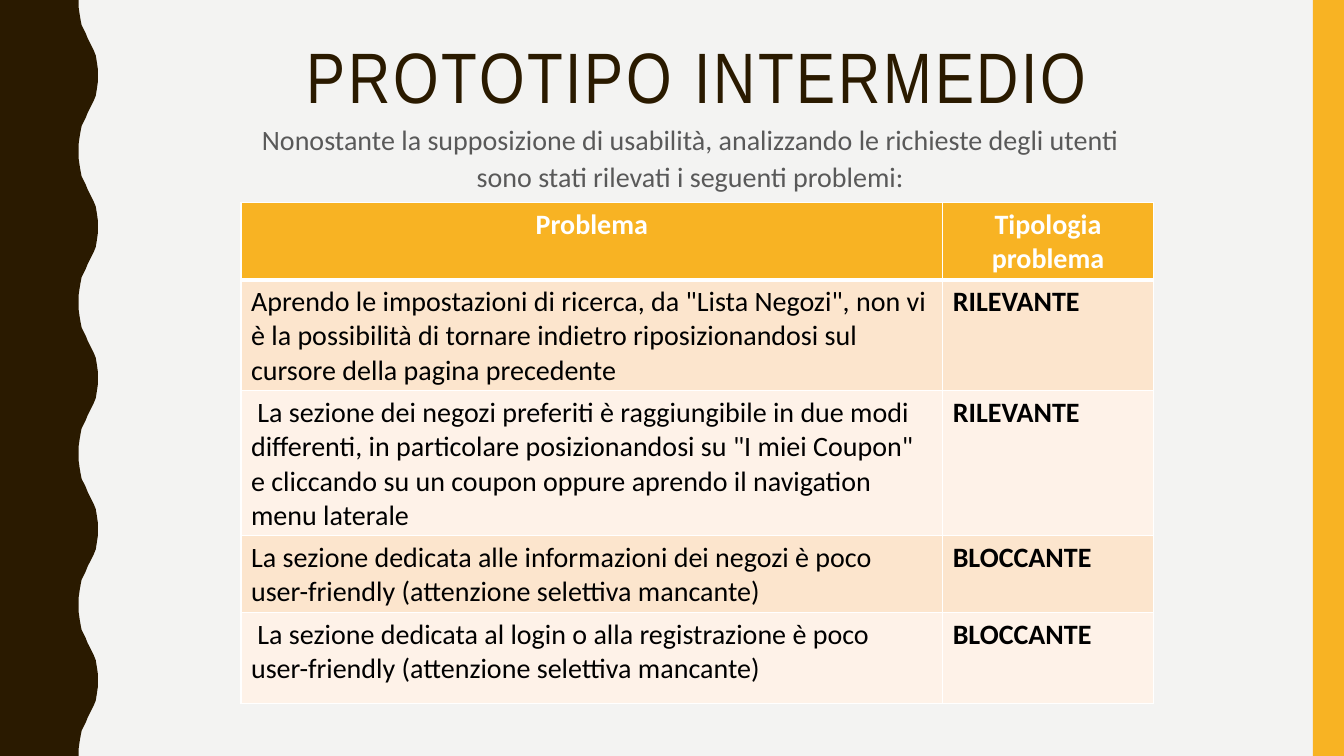
from dataclasses import dataclass

from lxml import etree
from pptx import Presentation
from pptx.dml.color import RGBColor
from pptx.enum.shapes import MSO_SHAPE
from pptx.enum.text import MSO_ANCHOR, PP_ALIGN
from pptx.oxml.ns import qn
from pptx.util import Inches, Pt

RECTANGLE = MSO_SHAPE.RECTANGLE
CENTER, LEFT = PP_ALIGN.CENTER, PP_ALIGN.LEFT
TOP = MSO_ANCHOR.TOP


@dataclass(frozen=True)
class Theme:
    background: str = "F3F3F2"
    dark: str = "2A1A00"
    accent: str = "F8B323"
    muted: str = "595959"
    white: str = "FFFFFF"
    black: str = "000000"
    bands: tuple = ("FCE5CD", "FEF2E8")
    title_font: str = "Arial Narrow"
    body_font: str = "Calibri"
    title_size: int = 51
    body_size: int = 20


THEME = Theme()

SLIDE_WIDTH, SLIDE_HEIGHT = 13.33, 7.5
WAVE_PERIOD = 1.5
# Half a wave, from trough to crest, as (x, y) in inches
HALF_WAVE = [
    (0.78, 0), (0.78, 0.07), (0.79, 0.14), (0.8, 0.2), (0.81, 0.25),
    (0.83, 0.29), (0.85, 0.33), (0.87, 0.38), (0.89, 0.42), (0.91, 0.46),
    (0.93, 0.5), (0.95, 0.55), (0.96, 0.61), (0.97, 0.68), (0.97, 0.75),
]

COLUMN_WIDTHS = [6.96, 2.09]
ROW_HEIGHTS = [0.67, 0.96, 1.27, 0.67, 0.9]
PROBLEMS = [
    ("Problema", "Tipologia problema"),
    ('Aprendo le impostazioni di ricerca, da "Lista Negozi", non vi è la '
     "possibilità di tornare indietro riposizionandosi sul cursore della "
     "pagina precedente", "RILEVANTE"),
    (" La sezione dei negozi preferiti è raggiungibile in due modi differenti, "
     'in particolare posizionandosi su "I miei Coupon" e cliccando su un coupon '
     "oppure aprendo il navigation menu laterale", "RILEVANTE"),
    ("La sezione dedicata alle informazioni dei negozi è poco user-friendly "
     "(attenzione selettiva mancante)", "BLOCCANTE"),
    (" La sezione dedicata al login o alla registrazione è poco user-friendly "
     "(attenzione selettiva mancante)", "BLOCCANTE"),
]


def paint(shape, color):
    shape.shadow.inherit = False
    shape.fill.solid()
    shape.fill.fore_color.rgb = RGBColor.from_string(color)
    shape.line.fill.background()


def style_paragraph(paragraph, font_name, size, color, alignment, bold=False):
    paragraph.alignment = alignment
    font = paragraph.font
    font.name, font.size, font.bold = font_name, Pt(size), bold
    font.color.rgb = RGBColor.from_string(color)


def add_wave(slide):
    crest_to_trough = [(x, WAVE_PERIOD - y) for x, y in HALF_WAVE[-2::-1]]
    wave = HALF_WAVE + crest_to_trough
    edge = [(x, y + period * WAVE_PERIOD)
            for period in range(round(SLIDE_HEIGHT / WAVE_PERIOD))
            for x, y in wave]
    points = [(Inches(x), Inches(y)) for x, y in edge + [(0, SLIDE_HEIGHT)]]
    builder = slide.shapes.build_freeform(0, 0)
    builder.add_line_segments(points, close=True)
    paint(builder.convert_to_shape(), THEME.dark)


def add_side_bar(slide):
    bar = slide.shapes.add_shape(
        RECTANGLE, Inches(13.02), 0, Inches(0.31), Inches(SLIDE_HEIGHT))
    paint(bar, THEME.accent)


def add_text(slide, text, box, font_name, size, color, line_spacing):
    text_box = slide.shapes.add_textbox(*[Inches(length) for length in box])
    frame = text_box.text_frame
    frame.word_wrap = True
    frame.vertical_anchor = TOP
    paragraph = frame.paragraphs[0]
    paragraph.text = text
    paragraph.line_spacing = line_spacing
    style_paragraph(paragraph, font_name, size, color, CENTER)
    return paragraph


def set_borders(cell, top, bottom):
    properties = cell._tc.get_or_add_tcPr()
    widths = {"a:lnL": 1, "a:lnR": 1, "a:lnT": top, "a:lnB": bottom}
    for index, (tag, width) in enumerate(widths.items()):
        line = etree.Element(qn(tag), w=str(Pt(width)))
        fill = etree.SubElement(line, qn("a:solidFill"))
        etree.SubElement(fill, qn("a:srgbClr"), val=THEME.white)
        properties.insert(index, line)


def add_problem_table(slide):
    table = slide.shapes.add_table(
        len(PROBLEMS), len(COLUMN_WIDTHS), Inches(2.39), Inches(2.01),
        Inches(sum(COLUMN_WIDTHS)), Inches(sum(ROW_HEIGHTS))).table
    table.first_row = table.horz_banding = False
    for column, width in zip(table.columns, COLUMN_WIDTHS):
        column.width = Inches(width)

    for row_index, texts in enumerate(PROBLEMS):
        table.rows[row_index].height = Inches(ROW_HEIGHTS[row_index])
        header = row_index == 0
        background = THEME.accent if header else THEME.bands[(row_index - 1) % 2]
        for column_index, text in enumerate(texts):
            cell = table.cell(row_index, column_index)
            cell.text = text
            cell.fill.solid()
            cell.fill.fore_color.rgb = RGBColor.from_string(background)
            style_paragraph(
                cell.text_frame.paragraphs[0], THEME.body_font, THEME.body_size,
                THEME.white if header else THEME.black,
                CENTER if header else LEFT, bold=header or column_index == 1)
            set_borders(cell, top=3 if row_index == 1 else 1,
                        bottom=3 if header else 1)


def main():
    presentation = Presentation()
    presentation.slide_width = Inches(SLIDE_WIDTH)
    presentation.slide_height = Inches(SLIDE_HEIGHT)
    slide = presentation.slides.add_slide(presentation.slide_layouts[6])

    # Background and side decoration
    slide.background.fill.solid()
    slide.background.fill.fore_color.rgb = RGBColor.from_string(THEME.background)
    add_wave(slide)
    add_side_bar(slide)

    # Title and introduction
    title = add_text(slide, "PROTOTIPO INTERMEDIO", (1.35, 0.37, 11.13, 1.63),
                     THEME.title_font, THEME.title_size, THEME.dark, 0.9)
    title.runs[0].font._element.set("spc", "200")
    add_text(slide, "Nonostante la supposizione di usabilità, analizzando le "
             "richieste degli utenti sono stati rilevati i seguenti problemi:",
             (2.25, 1.13, 9.19, 1.74),
             THEME.body_font, THEME.body_size, THEME.muted, 1.1)

    # Problems found
    add_problem_table(slide)

    presentation.save("out.pptx")


if __name__ == "__main__":
    main()
